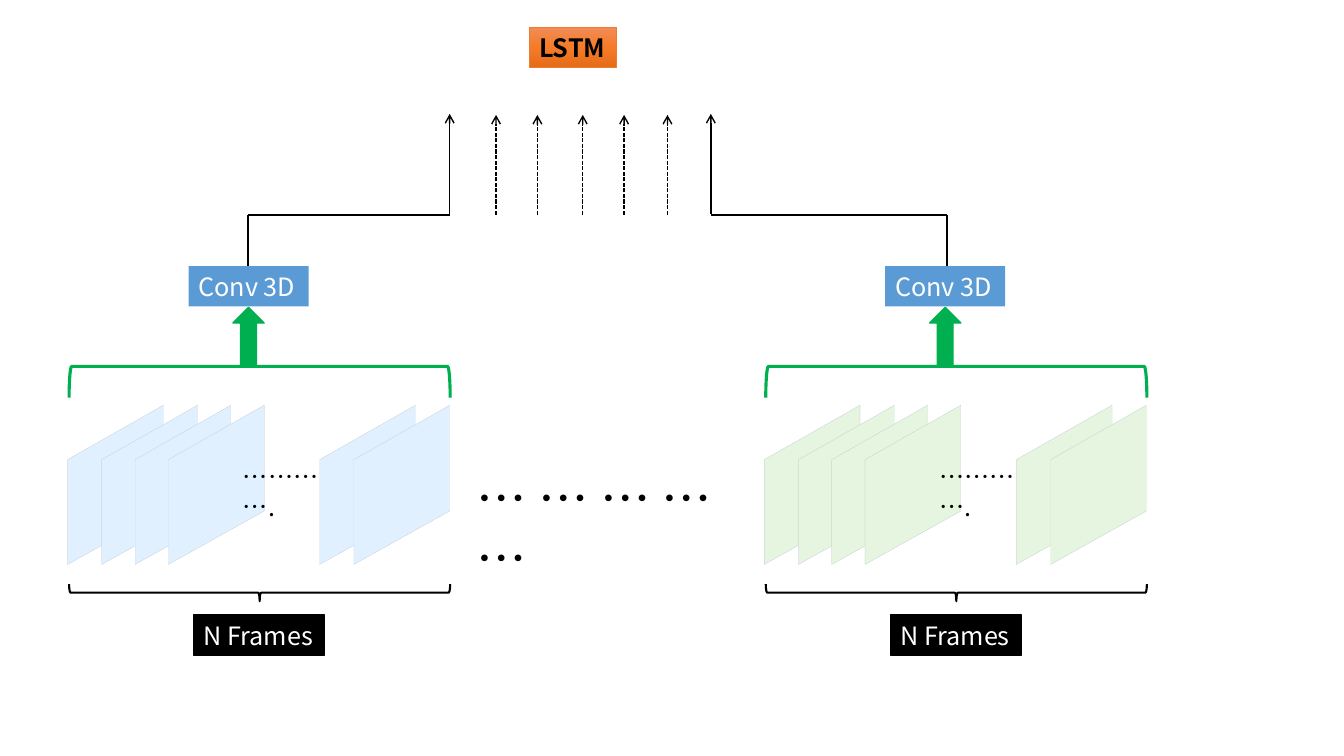
from copy import deepcopy
from pptx import Presentation, util as u
from pptx.dml.color import RGBColor
from pptx.enum import dml, shapes as kinds, text as texts
from pptx.oxml import ns, xmlchemy as xml

theme = {
    "font": "Noto Sans CJK KR", "size": 18, "big": 36,
    "ink": "000000", "paper": "FFFFFF", "edge": "B8C0C8",
    "blue": "E1F0FF", "lime": "E5F5DF",
    "green": "00B050", "conv": "5B9BD5", "rim": "ED7D31",
    "lstm": ["F18C57", "F67B28", "E56C19"],
}
kind = kinds.MSO_SHAPE
show = Presentation()
show.slide_width, show.slide_height = u.Inches(13.33), u.Inches(7.5)
items = show.slides.add_slide(show.slide_layouts[6]).shapes


def style(part, fill=None, line=None, width=1):
    """Set fill and outline, and drop the shadow."""
    part.shadow.inherit = False
    for pen, hue in ((part.fill, fill), (part.line.fill, line)):
        if hue:
            pen.solid()
            pen.fore_color.rgb = RGBColor.from_string(hue)
        else:
            pen.background()
    if line:
        part.line.width = u.Pt(width)
    return part


def write(part, words, hue, size=theme["size"], bold=False, wrap=False):
    """Put one left-aligned line of text into a shape."""
    frame = part.text_frame
    frame.word_wrap = wrap
    frame.vertical_anchor = (texts.MSO_ANCHOR.TOP if wrap
                             else texts.MSO_ANCHOR.MIDDLE)
    para = frame.paragraphs[0]
    para.alignment = texts.PP_ALIGN.LEFT
    para.line_spacing = u.Pt(size * 1.2)
    run = para.add_run()
    run.text = words
    look = {"name": theme["font"], "size": u.Pt(size), "bold": bold}
    for key, value in look.items():
        setattr(run.font, key, value)
    run.font.color.rgb = RGBColor.from_string(hue)
    east = xml.OxmlElement("a:ea")
    east.set("typeface", theme["font"])
    run.font._element.append(east)


# Two clips of frames, each feeding a Conv 3D block
for left, tint in ((0.48, theme["blue"]), (7.39, theme["lime"])):
    for step in (0, 0.34, 0.67, 1, 2.5, 2.84):
        if step == 2.5:
            dots = items.add_textbox(*map(u.Inches, (left + 1.83, 4.53, 1.01, 0.4)))
            write(dots, "………….", theme["ink"], wrap=True)
        x = left + 0.19 + step
        corners = [(x, 4.56), (x + 0.95, 4.02), (x + 0.95, 5.07), (x, 5.6)]
        points = [tuple(map(u.Inches, spot)) for spot in corners]
        path = items.build_freeform(*points[0])
        path.add_line_segments(points[1:])
        style(path.convert_to_shape(), tint, theme["edge"], 0.1)

    marks = [
        (kind.RIGHT_BRACE, (2.01, 3.99, 0.17, 3.78), 90, None, theme["ink"], 1.5),
        (kind.RIGHT_BRACKET, (1.94, 1.9, 0.31, 3.78), 270, None, theme["green"], 2.25),
        (kind.UP_ARROW, (1.83, 3.05, 0.31, 0.58), 0, theme["green"], theme["green"], 1),
    ]
    for form, (x, *rest), turn, fill, line, width in marks:
        mark = items.add_shape(form, *map(u.Inches, (left + x, *rest)))
        mark.rotation = turn
        style(mark, fill, line, width)

    tags = [
        ("N Frames", 1.44, 6.1, 1.3, theme["ink"], theme["ink"]),
        ("Conv 3D", 1.39, 2.64, 1.19, theme["conv"], None),
    ]
    for words, x, y, wide, fill, line in tags:
        tag = items.add_shape(kind.RECTANGLE, *map(u.Inches, (left + x, y, wide, 0.4)))
        write(style(tag, fill, line), words, theme["paper"])

gap = items.add_textbox(*map(u.Inches, (4.63, 4.58, 2.78, 0.71)))
write(gap, "… … … … …", theme["ink"], theme["big"], wrap=True)

# LSTM block with a three-stop gradient
lstm = items.add_shape(kind.RECTANGLE, *map(u.Inches, (5.25, 0.27, 0.86, 0.4)))
style(lstm, theme["conv"], theme["rim"], 0.5)
lstm.fill.gradient()
lstm.fill.gradient_angle = 270
first = next(lstm.element.iter(ns.qn("a:gs")))
first.addnext(deepcopy(first))
for stop, hue, place in zip(lstm.fill.gradient_stops, theme["lstm"], (0, 0.5, 1)):
    stop.color.rgb = RGBColor.from_string(hue)
    stop.position = place
write(lstm, "LSTM", theme["ink"], bold=True)

# Paths from the Conv 3D blocks up to the LSTM: ends, width, arrow, dash
lines = []
for conv, turn in ((2.46, 4.46), (9.39, 7.05)):
    lines += [((conv, 2.64, conv, 2.13), 1.5, False, False),
              ((turn, 2.13, conv, 2.13), 1.5, False, False),
              ((turn, 2.12, turn, 1.13), 1, True, False)]
lines += [((x, 2.13, x, 1.14), 1, True, True) for x in (4.92, 5.33, 5.78, 6.19, 6.62)]

for ends, width, arrow, dash in lines:
    link = items.add_connector(kinds.MSO_CONNECTOR.STRAIGHT, *map(u.Inches, ends))
    link.line.color.rgb = RGBColor.from_string(theme["ink"])
    link.line.width = u.Pt(width)
    if dash:
        link.line.dash_style = dml.MSO_LINE.SQUARE_DOT
    if arrow:
        tip = xml.OxmlElement("a:tailEnd")
        tip.set("type", "arrow")
        link.line._get_or_add_ln().append(tip)
    link.element.spPr.append(xml.OxmlElement("a:effectLst"))

show.save("out.pptx")
